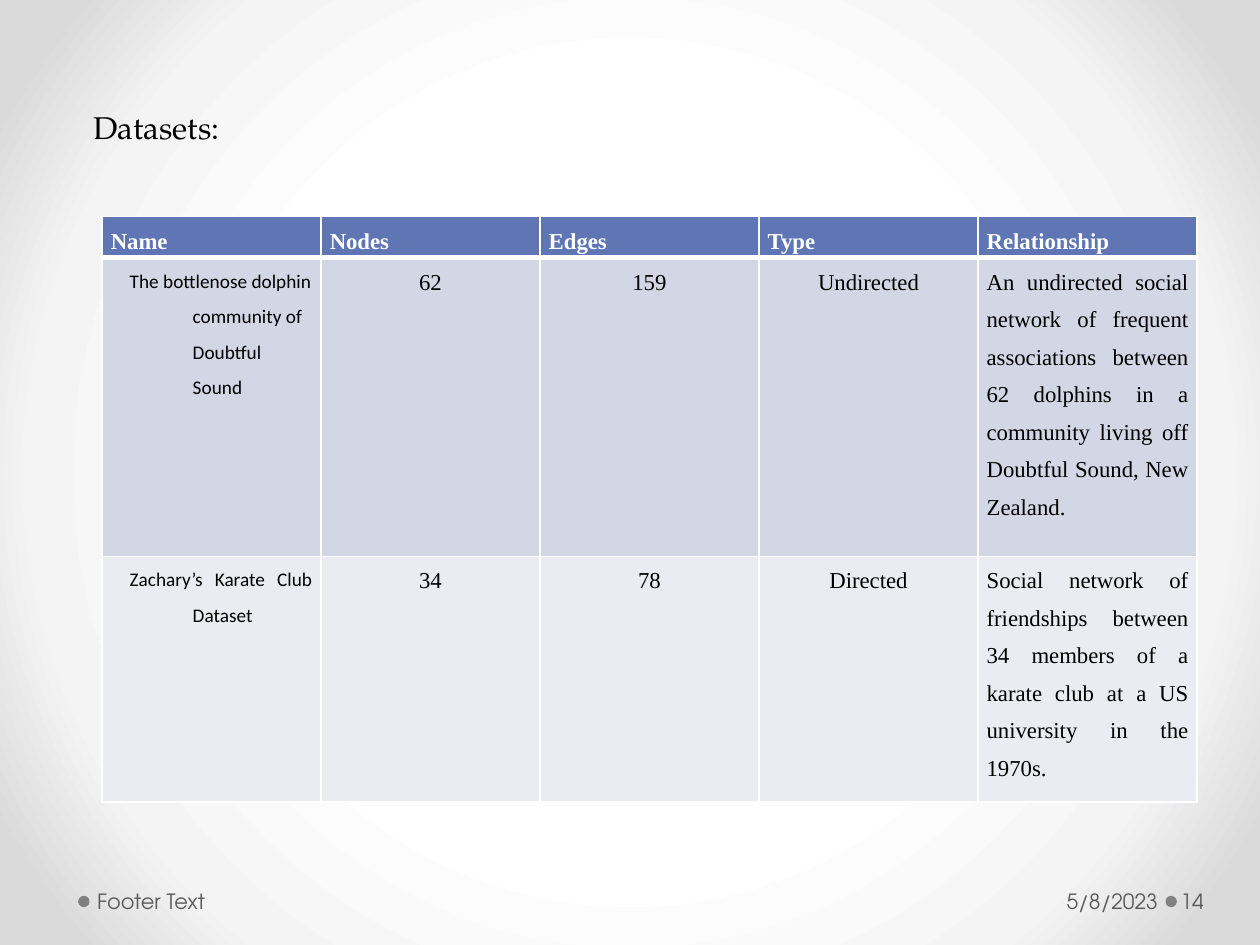
from lxml.etree import SubElement
from pptx import Presentation
from pptx.dml.color import RGBColor
from pptx.enum.shapes import MSO_SHAPE as Shape
from pptx.enum.text import MSO_ANCHOR as Anchor, MSO_AUTO_SIZE as AutoSize, PP_ALIGN as Align
from pptx.oxml import parse_xml
from pptx.oxml.ns import nsdecls, qn
from pptx.util import Inches, Pt

HEADINGS = ["Name", "Nodes", "Edges", "Type", "Relationship"]
DATASETS = [
    ["The bottlenose dolphin community of Doubtful Sound", "62", "159", "Undirected",
     "An undirected social network of frequent associations between 62 dolphins "
     "in a community living off Doubtful Sound, New Zealand."],
    ["Zachary’s Karate Club Dataset", "34", "78", "Directed",
     "Social network of friendships between 34 members of a karate club "
     "at a US university in the 1970s."],
]
ROW_FILLS = ["6076B4", "D2D6E5", "EAECF2"]
ROW_HEIGHTS = [0.25, 2.37, 1.66]
COLUMN_ALIGNS = [Align.LEFT, Align.CENTER, Align.CENTER, Align.CENTER, Align.JUSTIFY]


def rgb(value):
    return RGBColor.from_string(value)


def style(paragraph, font_name, size, color, align=Align.LEFT, bold=False):
    paragraph.alignment = align
    font = paragraph.font
    font.name, font.size, font.bold = font_name, Pt(size), bold
    font.color.rgb = rgb(color)


def paint_background(slide):
    """Radial gradient, white in the middle and grey towards the corners."""
    fill = slide.background.fill
    fill.gradient()
    grad = slide.background._cSld.find(".//" + qn("a:gradFill"))
    for child in list(grad):
        grad.remove(child)
    stops = SubElement(grad, qn("a:gsLst"))
    for position, color in [(50, "FFFFFF"), (76, "F4F4F4"), (92, "DADADA")]:
        stop = SubElement(stops, qn("a:gs"), pos=str(position * 1000))
        SubElement(stop, qn("a:srgbClr"), val=color)
    circle = SubElement(grad, qn("a:path"), path="circle")
    SubElement(circle, qn("a:fillToRect"), dict.fromkeys("ltrb", "50000"))


def place_title(slide, left, top, width, height):
    title = slide.shapes.title
    title.left, title.top = Inches(left), Inches(top)
    title.width, title.height = Inches(width), Inches(height)
    frame = title.text_frame
    frame.text = "Datasets:"
    frame.vertical_anchor = Anchor.TOP
    frame.auto_size = AutoSize.NONE
    style(frame.paragraphs[0], "TeX Gyre Pagella", 18, "000000")


def set_borders(cell, widths):
    """White borders; widths are points for left, right, top and bottom."""
    properties = cell._tc.get_or_add_tcPr()
    for index, (side, width) in enumerate(zip("LRTB", widths)):
        properties.insert(index, parse_xml(
            f'<a:ln{side} {nsdecls("a")} w="{Pt(width)}"><a:solidFill>'
            f'<a:srgbClr val="FFFFFF"/></a:solidFill></a:ln{side}>'))


def fill_cell(cell, text, row, column):
    cell.text = text
    cell.margin_left = cell.margin_right = Inches(0.07)
    cell.margin_top = cell.margin_bottom = 0
    cell.fill.solid()
    cell.fill.fore_color.rgb = rgb(ROW_FILLS[row])
    set_borders(cell, [1, 1, 3 if row == 1 else 1, 3 if row == 0 else 1])
    paragraph = cell.text_frame.paragraphs[0]
    paragraph.line_spacing = 1.5
    if row == 0:
        style(paragraph, "Times New Roman", 13, "FFFFFF", bold=True)
    elif column == 0:
        style(paragraph, "Calibri", 11, "000000", Align.LEFT if row == 1 else Align.JUSTIFY)
        paragraph.space_before = Pt(8.9)
        indents = paragraph._p.get_or_add_pPr()
        indents.set("marL", str(Inches(0.65)))
        indents.set("indent", str(Inches(-0.5)))
    else:
        style(paragraph, "Times New Roman", 13, "000000", COLUMN_ALIGNS[column])


def place_table(slide, left, top, width):
    rows = [HEADINGS, *DATASETS]
    table = slide.shapes.add_table(
        len(rows), len(HEADINGS), Inches(left), Inches(top),
        Inches(width), Inches(sum(ROW_HEIGHTS))).table
    for row, texts in enumerate(rows):
        table.rows[row].height = Inches(ROW_HEIGHTS[row])
        for column, text in enumerate(texts):
            fill_cell(table.cell(row, column), text, row, column)


def place_footer(slide, top, height):
    dot_size = 0.09
    for left in (0.62, 9.25):
        dot = slide.shapes.add_shape(Shape.OVAL, Inches(left), Inches(top + 0.16),
                                     Inches(dot_size), Inches(dot_size))
        dot.shadow.inherit = False
        dot.fill.solid()
        dot.fill.fore_color.rgb = rgb("808080")
        dot.line.fill.background()
    for text, left, width, inset_left, inset_right, align in [
            ("5/8/2023", 6.96, 2.28, 0.1, 0.05, Align.RIGHT),
            ("Footer Text", 0.72, 3.11, 0.05, 0.1, Align.LEFT),
            ("14", 9.34, 0.61, 0.03, 0.05, Align.LEFT)]:
        frame = slide.shapes.add_textbox(Inches(left), Inches(top),
                                         Inches(width), Inches(height)).text_frame
        frame.word_wrap = True
        frame.vertical_anchor = Anchor.MIDDLE
        frame.margin_left, frame.margin_right = Inches(inset_left), Inches(inset_right)
        frame.text = text
        style(frame.paragraphs[0], "TeX Gyre Adventor", 12, "595959", align)


def main():
    deck = Presentation()
    deck.slide_width, deck.slide_height = Inches(10), Inches(7.5)
    slide = deck.slides.add_slide(deck.slide_layouts[5])
    paint_background(slide)
    place_footer(slide, 6.95, 0.4)
    place_title(slide, 0.64, 0.81, 1.98, 0.71)
    place_table(slide, 0.81, 1.72, 8.69)
    deck.save("out.pptx")


if __name__ == "__main__":
    main()
